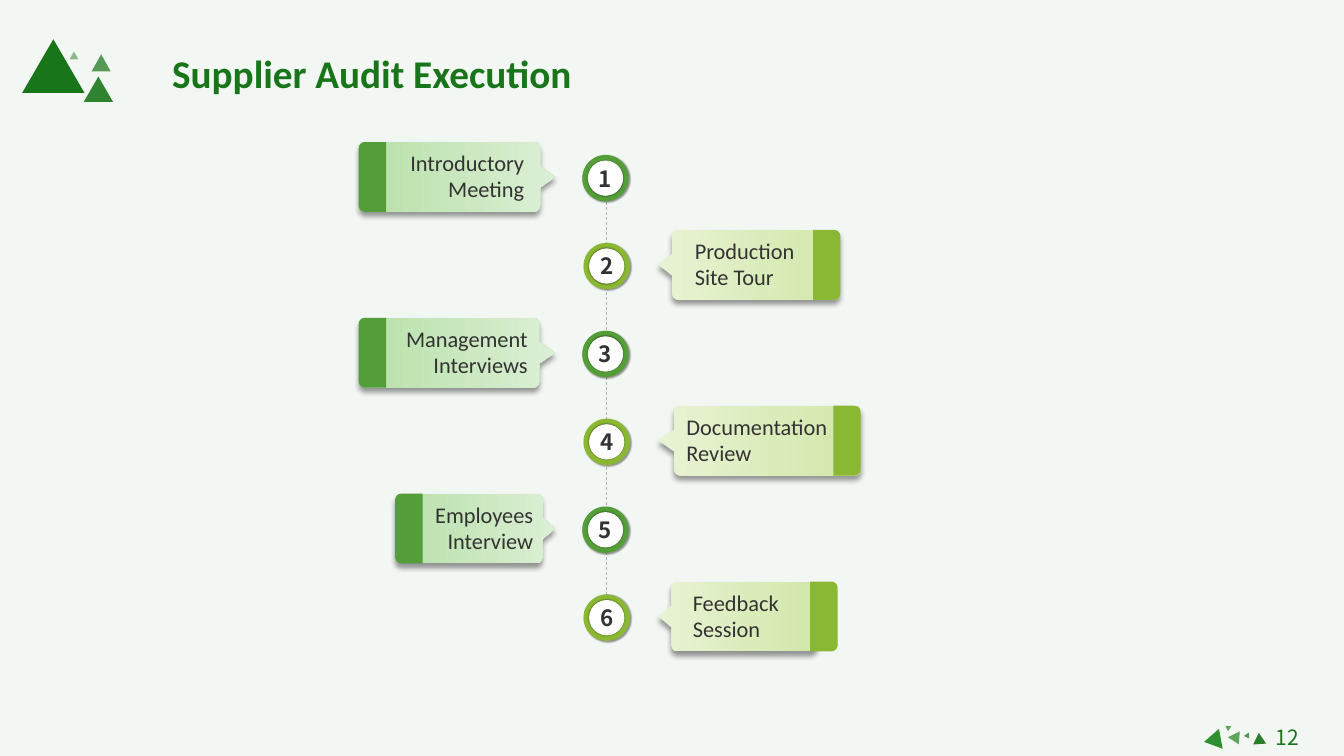
"""Build the Supplier Audit Execution timeline slide."""
import math

import pptx
import pptx.dml.color
import pptx.enum.dml
import pptx.enum.shapes
import pptx.enum.text
import pptx.oxml.ns
import pptx.util
from lxml import etree

Cm, Pt = pptx.util.Cm, pptx.util.Pt
RGB = pptx.dml.color.RGBColor.from_string
SHAPE = pptx.enum.shapes.MSO_SHAPE
ALIGN = pptx.enum.text.PP_ALIGN
qn = pptx.oxml.ns.qn


class Theme:
    background, brand, text, white, line = "F3F7F4", "197519", "333333", "FFFFFF", "B2B2B2"
    green, green_tint = "549E39", ("B7E0A8", "DBEFD4")
    lime, lime_tint = "8AB833", ("E8F3D4", "D2E7A9")
    body_font, number_font = "Calibri", "Noto Sans CJK SC"
    title_size, step_size, page_size = 28, 16, 15
    card_shadow, ring_shadow, disc_shadow = (4, 3, 90), (1, 1, 45), (1, 0, 0)


def paint(sp, color, alpha=100, shadow=None):
    sp.line.fill.background()
    sp.shadow.inherit = False
    if isinstance(color, tuple):
        sp.fill.gradient()
        sp.fill.gradient_angle = 0
        for stop, shade in zip(sp.fill.gradient_stops, color):
            stop.color.rgb = RGB(shade)
    else:
        sp.fill.solid()
        sp.fill.fore_color.rgb = RGB(color)
    if alpha < 100:
        clr = sp.element.spPr.find(qn("a:solidFill")).find(qn("a:srgbClr"))
        etree.SubElement(clr, qn("a:alpha"), val=str(alpha * 1000))
    if shadow:
        blur, dist, angle = shadow
        outer = etree.SubElement(
            sp.element.spPr.find(qn("a:effectLst")), qn("a:outerShdw"), blurRad=str(Pt(blur)),
            dist=str(Pt(dist)), dir=str(angle * 60000), algn="ctr", rotWithShape="0")
        clr = etree.SubElement(outer, qn("a:srgbClr"), val="000000")
        etree.SubElement(clr, qn("a:alpha"), val="40000")


def write(sp, lines, align, font, size, color, bold=False, spacing=None, insets=(0, 0, 0, 0)):
    tf = sp.text_frame
    tf.word_wrap = True
    tf.vertical_anchor = pptx.enum.text.MSO_ANCHOR.MIDDLE
    tf.margin_left, tf.margin_top, tf.margin_right, tf.margin_bottom = (Cm(v) for v in insets)
    for i, line in enumerate(lines):
        p = tf.add_paragraph() if i else tf.paragraphs[0]
        p.alignment = align
        p.line_spacing = spacing
        r = p.add_run()
        r.text = line
        r.font.name, r.font.size, r.font.bold = font, Pt(size), bold
        r.font.color.rgb = RGB(color)


prs = pptx.Presentation()
prs.slide_width, prs.slide_height = Cm(33.87), Cm(19.05)
s = prs.slides.add_slide(prs.slide_layouts[6])
s.background.fill.solid()
s.background.fill.fore_color.rgb = RGB(Theme.background)

axis = s.shapes.add_connector(
    pptx.enum.shapes.MSO_CONNECTOR.STRAIGHT, Cm(15.29), Cm(16), Cm(15.29), Cm(4.04))
axis.line.color.rgb = RGB(Theme.line)
axis.line.width = Pt(0.5)
axis.line.dash_style = pptx.enum.dml.MSO_LINE.DASH
etree.SubElement(axis.line._get_or_add_ln(), qn("a:tailEnd"), type="triangle")
etree.SubElement(axis._element.spPr, qn("a:effectLst"))

triangles = [
    (30.99, 18.49, 0.33, 0.28, 153.9, "5EA45A", 100),
    (30.3, 18.44, 0.51, 0.43, 259.5, "309030", 100),
    (31.57, 18.47, 0.33, 0.28, 356.2, "2B7E2A", 100),
    (30.86, 18.26, 0.15, 0.13, 303.5, "5EA45A", 100),
    (31.37, 18.49, 0.15, 0.13, 145.8, "559551", 100),
    (0.56, 0.99, 1.57, 1.35, 0, Theme.brand, 100),
    (2.11, 1.93, 0.74, 0.64, 0, Theme.brand, 89),
    (1.75, 1.3, 0.23, 0.2, 0, Theme.brand, 47),
    (2.31, 1.37, 0.48, 0.43, 0, Theme.brand, 72),
]
for x, y, w, h, turn, color, alpha in triangles:
    sp = s.shapes.add_shape(SHAPE.ISOSCELES_TRIANGLE, Cm(x), Cm(y), Cm(w), Cm(h))
    sp.rotation = turn
    paint(sp, color, alpha)

labels = [
    (31.57, 18.14, 1.73, 0.89, "12", Theme.number_font, Theme.page_size, False),
    (3.12, 1.12, 12.5, 1.45, "Supplier Audit Execution", Theme.body_font, Theme.title_size, True),
]
for x, y, w, h, text, font, size, bold in labels:
    sp = s.shapes.add_textbox(Cm(x), Cm(y), Cm(w), Cm(h))
    write(sp, [text], ALIGN.CENTER, font, size, Theme.brand, bold)

first_top, pitch = 3.58, 2.215
card_h, tab_w, radius, notch = 1.76, 0.69, 0.16, 0.27
ring_d, disc_d = 1.17, 0.89
steps = [
    (["Introductory Meeting"], 9.04, 13.61, 9.04, 0.78),
    (["Production", "Site Tour"], 21.16, 16.94, 21.18, 0.92),
    (["Management Interviews"], 9.04, 13.59, 9.04, 0.69),
    (["Documentation Review"], 21.69, 16.99, 21.69, 0.71),
    (["Employees Interview"], 9.96, 13.67, 9.96, 0.55),
    (["Feedback Session"], 20.6, 16.92, 21.11, 0.87),
]
for i, (lines, outer, edge, tab_outer, gap) in enumerate(steps):
    on_left = i % 2 == 0
    side, tip = (1, 13.99) if on_left else (-1, 16.59)
    color = Theme.green if on_left else Theme.lime
    tint = Theme.green_tint if on_left else Theme.lime_tint
    center_x = 15.26 if on_left else 15.29
    top = first_top + i * pitch
    middle = card_h / 2
    width = abs(edge - outer)
    group = s.shapes.add_group_shape().shapes

    corners = [(radius, radius, 180), (width - radius, radius, 270),
               (width - radius, card_h - radius, 0), (radius, card_h - radius, 90)]
    arcs = [[(cx + radius * math.cos(math.radians(start + a)),
              cy + radius * math.sin(math.radians(start + a))) for a in range(0, 91, 15)]
            for cx, cy, start in corners]
    pointer = [(width, middle - notch), (abs(tip - outer), middle), (width, middle + notch)]
    card_outline = arcs[0] + arcs[1] + pointer + arcs[2] + arcs[3]
    tab_outline = arcs[0] + [(tab_w, 0), (tab_w, card_h)] + arcs[3]

    ring, disc = [
        group.add_shape(SHAPE.OVAL, Cm(center_x - d / 2), Cm(top + 0.91 - d / 2), Cm(d), Cm(d))
        for d in (ring_d, disc_d)]
    paint(ring, color, shadow=Theme.ring_shadow)
    paint(disc, Theme.white, shadow=Theme.disc_shadow)
    write(disc, [str(i + 1)], ALIGN.CENTER, Theme.number_font, Theme.step_size, Theme.text, True)

    card, tab = [
        [(Cm(origin + side * u), Cm(top + v)) for u, v in outline]
        for origin, outline in ((outer, card_outline), (tab_outer, tab_outline))]
    builders = [group.build_freeform(*points[0]) for points in (card, tab)]
    for builder, points in zip(builders, (card, tab)):
        builder.add_line_segments(points[1:], close=True)
    card, tab = [builder.convert_to_shape() for builder in builders]
    paint(card, tint, shadow=Theme.card_shadow)
    paint(tab, color)
    write(card, lines, ALIGN.RIGHT if on_left else ALIGN.LEFT, Theme.body_font, Theme.step_size,
          Theme.text, spacing=0.96,
          insets=(tab_w, 0, gap, 0) if on_left else (gap, 0, tab_w, 0))

prs.save("out.pptx")
